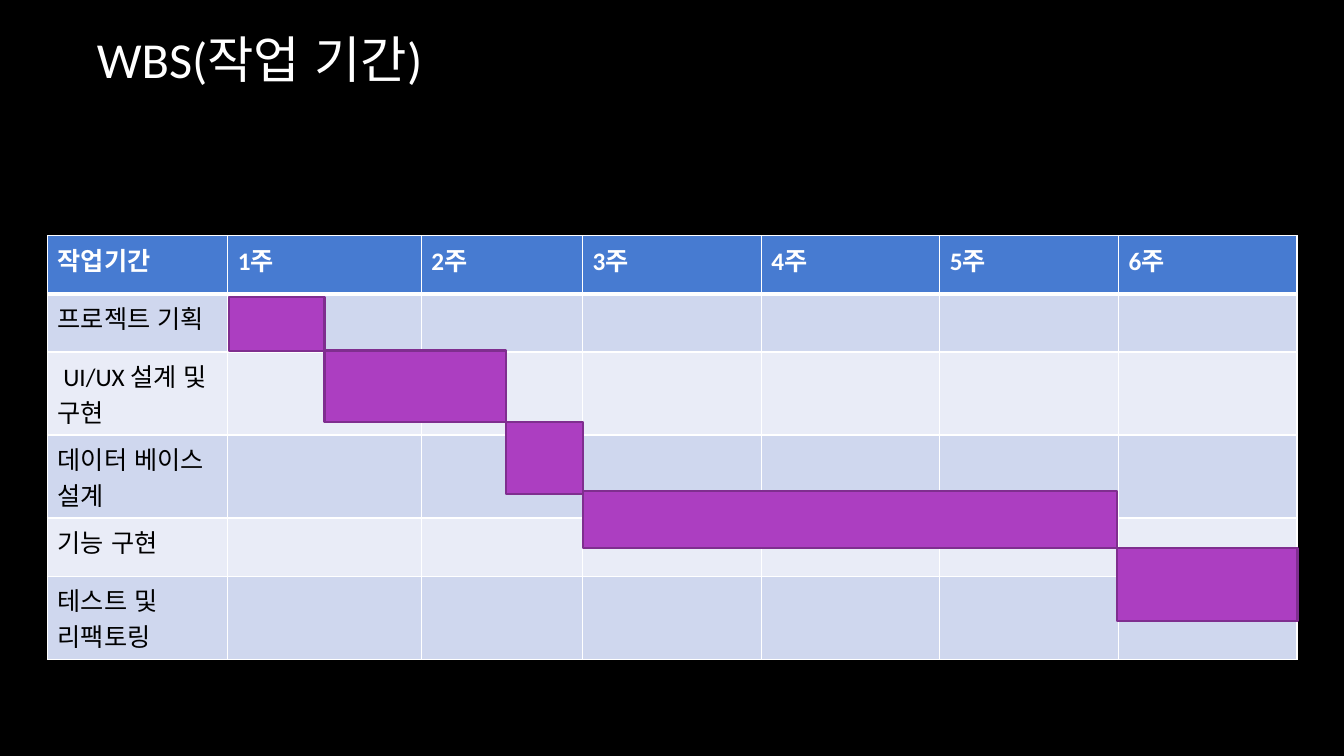
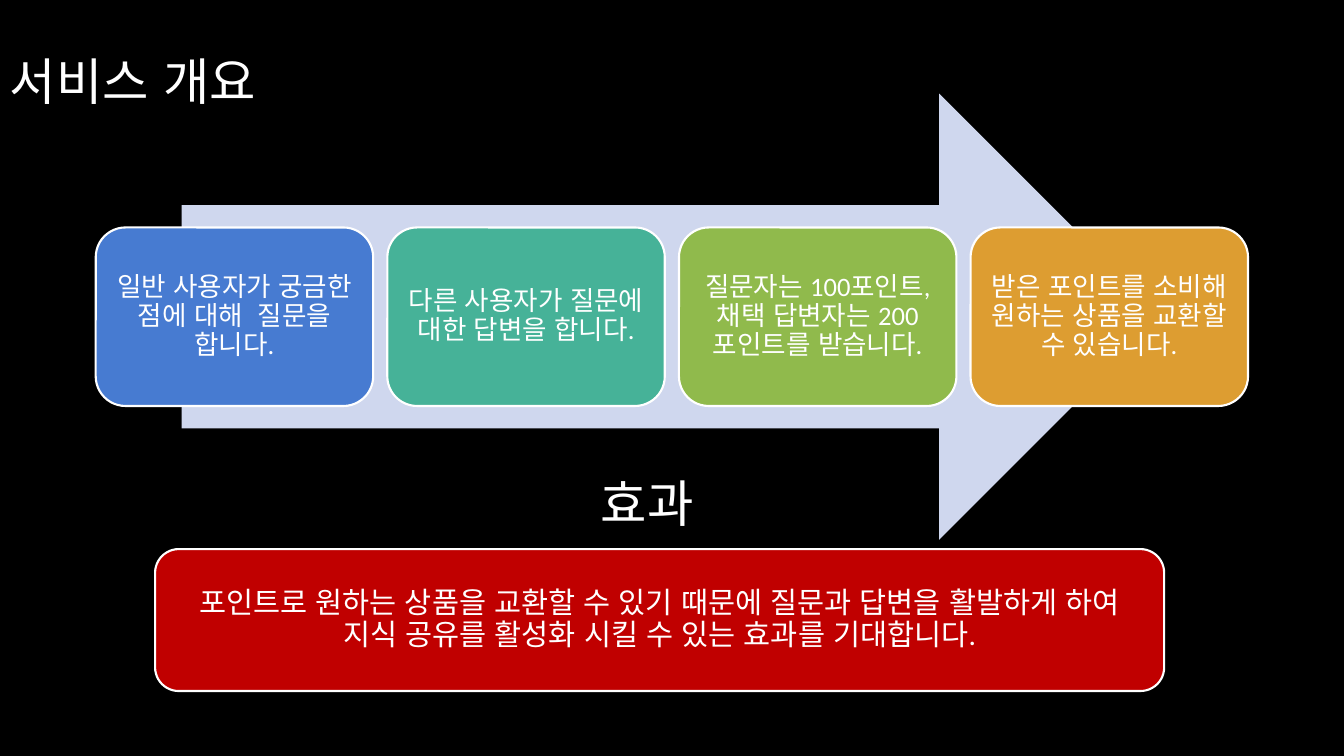
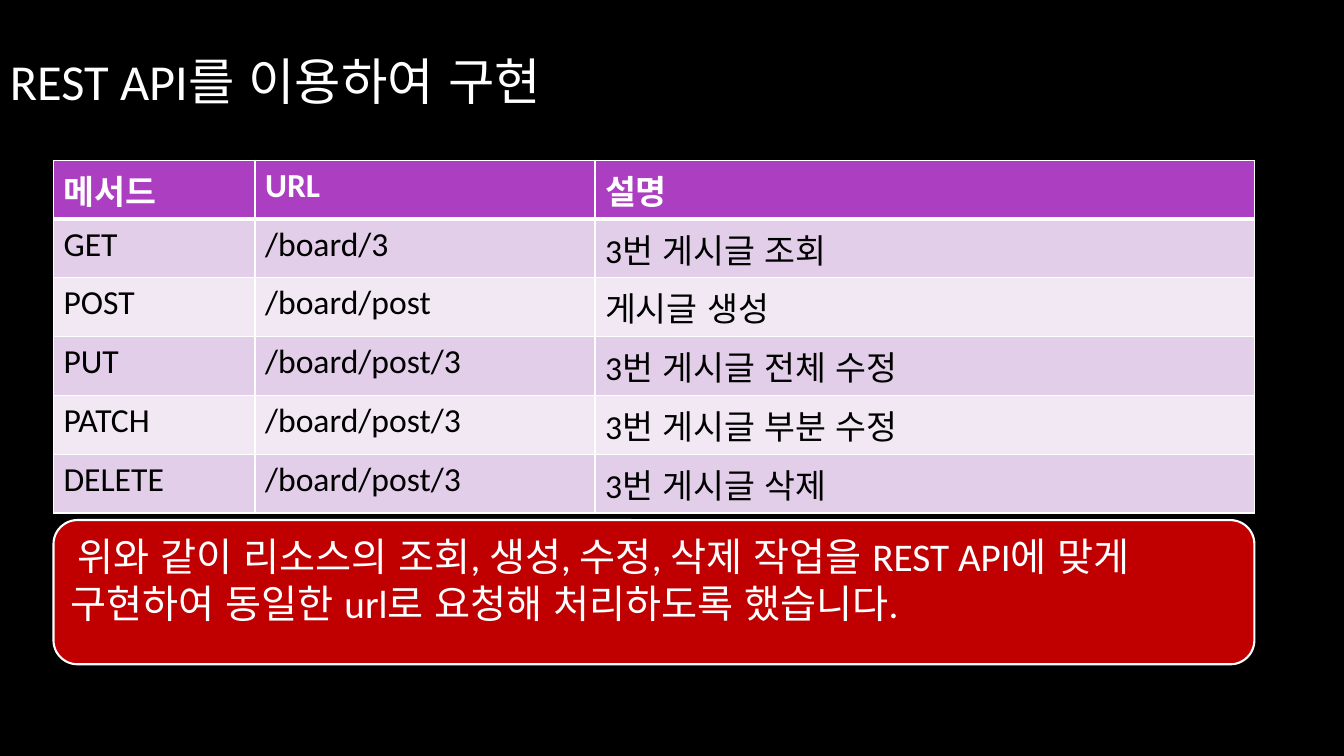
from lxml import etree
from pptx import Presentation
from pptx.dml.color import RGBColor
from pptx.enum import lang, shapes, text
from pptx.oxml import ns
from pptx.util import Pt

# Shared look
FONT = "Calibri"
BLACK, WHITE = "000000", "FFFFFF"
BLUE, TEAL, GREEN, ORANGE = "477BD1", "46B298", "90BA4C", "DD9D31"
PURPLE, PURPLE_EDGE, RED = "AC3EC1", "7F2E8F", "C00000"
BLUE_BANDS = ("CFD7EE", "E9ECF7")
PURPLE_BANDS = ("E3CEE9", "F1E8F4")
TITLE_SIZE = 36
DEFAULT_INSETS = (7.2, 3.6)


def color(value):
    return RGBColor.from_string(value)


def add_run(paragraph, content, size, ink=WHITE, bold=False):
    run = paragraph.add_run()
    run.text = content
    run.font.name = FONT
    run.font.language_id = lang.MSO_LANGUAGE_ID.KOREAN
    run.font.size = Pt(size)
    run.font.bold = bold
    run.font.color.rgb = color(ink)


def set_frame(frame, anchor, insets=DEFAULT_INSETS):
    frame.word_wrap = True
    frame.vertical_anchor = anchor
    frame.margin_left = frame.margin_right = Pt(insets[0])
    frame.margin_top = frame.margin_bottom = Pt(insets[1])


def add_heading(slide, content, left, top, width, height):
    box = slide.shapes.add_textbox(Pt(left), Pt(top), Pt(width), Pt(height))
    set_frame(box.text_frame, text.MSO_ANCHOR.MIDDLE)
    add_run(box.text_frame.paragraphs[0], content, TITLE_SIZE)


def add_block(slide, kind, left, top, width, height, fill, edge=None):
    shape = slide.shapes.add_shape(kind, Pt(left), Pt(top), Pt(width), Pt(height))
    shape.shadow.inherit = False
    shape.fill.solid()
    shape.fill.fore_color.rgb = color(fill)
    if edge:
        shape.line.color.rgb = color(edge)
        shape.line.width = Pt(1.5)
    else:
        shape.line.fill.background()
    return shape


def add_card(slide, content, left, top, width, height, fill, size, insets):
    card = add_block(slide, shapes.MSO_SHAPE.ROUNDED_RECTANGLE,
                     left, top, width, height, fill, WHITE)
    set_frame(card.text_frame, text.MSO_ANCHOR.MIDDLE, insets)
    paragraph = card.text_frame.paragraphs[0]
    paragraph.alignment = text.PP_ALIGN.CENTER
    paragraph.line_spacing = 0.9
    add_run(paragraph, content, size)


def set_border(cell, side, width):
    properties = cell._tc.get_or_add_tcPr()
    line = etree.SubElement(properties, ns.qn("a:ln" + side), w=str(Pt(width)))
    fill = etree.SubElement(line, ns.qn("a:solidFill"))
    etree.SubElement(fill, ns.qn("a:srgbClr"), val=WHITE)


def add_grid(slide, rows, left, top, widths, heights, size, head, bands):
    frame = slide.shapes.add_table(len(rows), len(widths), Pt(left), Pt(top),
                                   Pt(sum(widths)), Pt(sum(heights)))
    table = frame.table
    for column, width in zip(table.columns, widths):
        column.width = Pt(width)
    for row_index, (row, height) in enumerate(zip(rows, heights)):
        table.rows[row_index].height = Pt(height)
        is_head = row_index == 0
        for column_index in range(len(widths)):
            cell = table.cell(row_index, column_index)
            # A heavy rule parts the header from the body
            set_border(cell, "L", 1)
            set_border(cell, "R", 1)
            set_border(cell, "T", 3 if row_index == 1 else 1)
            set_border(cell, "B", 3 if is_head else 1)
            cell.fill.solid()
            cell.fill.fore_color.rgb = color(head if is_head else bands[(row_index - 1) % 2])
            paragraph = cell.text_frame.paragraphs[0]
            if column_index < len(row):
                add_run(paragraph, row[column_index], size,
                        WHITE if is_head else BLACK, is_head)
            else:
                paragraph.font.size = Pt(size)


def build_schedule(slide):
    add_heading(slide, " WBS(작업 기간)", 54, 0, 798, 84)
    tasks = ["프로젝트 기획", " UI/UX 설계 및 구현", "데이터 베이스 설계",
             "기능 구현", "테스트 및 리팩토링"]
    header = ["작업기간"] + [f"{week}주" for week in range(1, 7)]
    one_line, two_lines = 41.5, 59.3
    heights = [one_line, one_line, two_lines, two_lines, one_line, two_lines]
    add_grid(slide, [header] + [[task] for task in tasks], 34, 168.5,
             [128.8, 138.2, 115.2] + [127.6] * 4, heights, 18, BLUE, BLUE_BANDS)

    # Each bar starts where the one before ends: top, width, height
    bars = [(212.4, 68.4, 38.2), (250.4, 129.6, 51.2), (301.6, 54.8, 51.2),
            (350.6, 381.6, 41), (391.6, 129, 52)]
    left = 163.4
    for top, width, height in bars:
        add_block(slide, shapes.MSO_SHAPE.RECTANGLE, left, top, width, height,
                  PURPLE, PURPLE_EDGE)
        left += width


def build_overview(slide):
    add_heading(slide, "서비스 개요", 0, 0, 798, 114.4)

    # Steps on the arrow
    add_block(slide, shapes.MSO_SHAPE.RIGHT_ARROW, 129.8, 66.8, 700.4, 318.8, BLUE_BANDS[0])
    steps = [
        ("일반 사용자가 궁금한 점에 대해  질문을 합니다.", BLUE),
        ("다른 사용자가 질문에 대한 답변을 합니다.", TEAL),
        ("질문자는 100포인트, 채택 답변자는 200포인트를 받습니다.", GREEN),
        ("받은 포인트를 소비해 원하는 상품을 교환할 수 있습니다.", ORANGE),
    ]
    for index, (content, fill) in enumerate(steps):
        add_card(slide, content, 68.4 + 208.3 * index, 162.5, 198.2, 127.5, fill, 19, (7, 5.7))

    # Effect
    add_card(slide, "포인트로 원하는 상품을 교환할 수 있기 때문에 질문과 답변을 활발하게 하여 "
             "지식 공유를 활성화 시킬 수 있는 효과를 기대합니다.",
             110.8, 392.2, 720.8, 101.4, RED, 21, (24, 6.3))
    add_heading(slide, "효과", 422, 301.6, 98, 114.4)


def build_api(slide):
    add_heading(slide, "REST API를 이용하여 구현", 0, 0, 798, 114.4)
    rows = [
        ("메서드", "URL", "설명"),
        ("GET", "/board/3", "3번 게시글 조회"),
        ("POST", "/board/post", "게시글 생성"),
        ("PUT", "/board/post/3", "3번 게시글 전체 수정"),
        ("PATCH", "/board/post/3", "3번 게시글 부분 수정"),
        ("DELETE", "/board/post/3", "3번 게시글 삭제"),
    ]
    add_grid(slide, rows, 38.2, 114.5, [144, 242.8, 471], [42] * len(rows), 24,
             PURPLE, PURPLE_BANDS)

    # Summary
    summary = add_block(slide, shapes.MSO_SHAPE.ROUNDED_RECTANGLE,
                        38.2, 371.5, 857.8, 103, RED, WHITE)
    set_frame(summary.text_frame, text.MSO_ANCHOR.TOP)
    paragraph = summary.text_frame.paragraphs[0]
    paragraph.alignment = text.PP_ALIGN.LEFT
    add_run(paragraph, " ", 18)
    add_run(paragraph, "위와 같이 리소스의 조회, 생성, 수정, 삭제 작업을 REST API에 맞게 "
            "구현하여 동일한 url로 요청해 처리하도록 했습니다.", 28)


def main():
    presentation = Presentation()
    presentation.slide_width, presentation.slide_height = Pt(960), Pt(540)
    background = presentation.slide_master.background.fill
    background.solid()
    background.fore_color.rgb = color(BLACK)
    for build in (build_schedule, build_overview, build_api):
        build(presentation.slides.add_slide(presentation.slide_layouts[6]))
    presentation.save("out.pptx")


if __name__ == "__main__":
    main()
